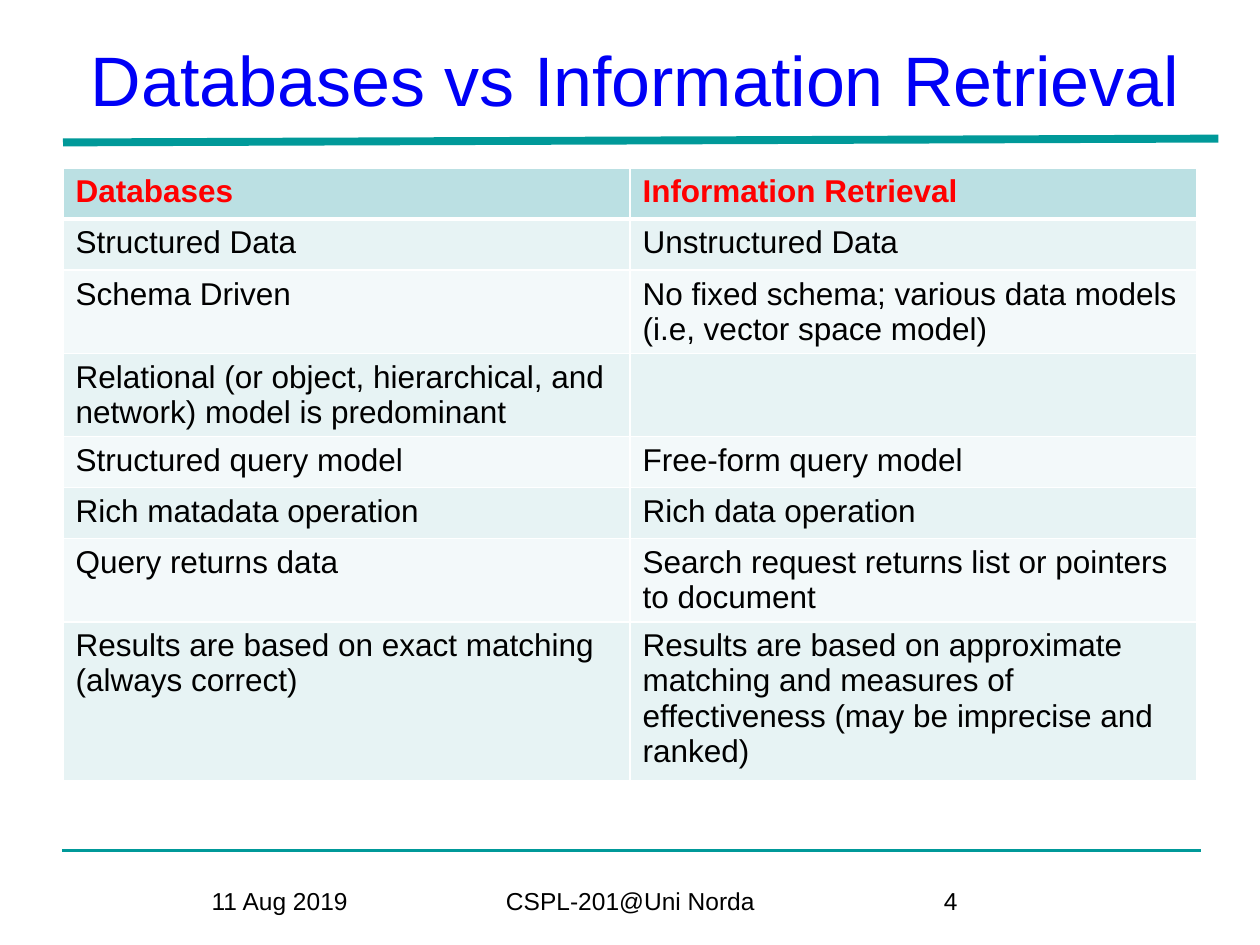
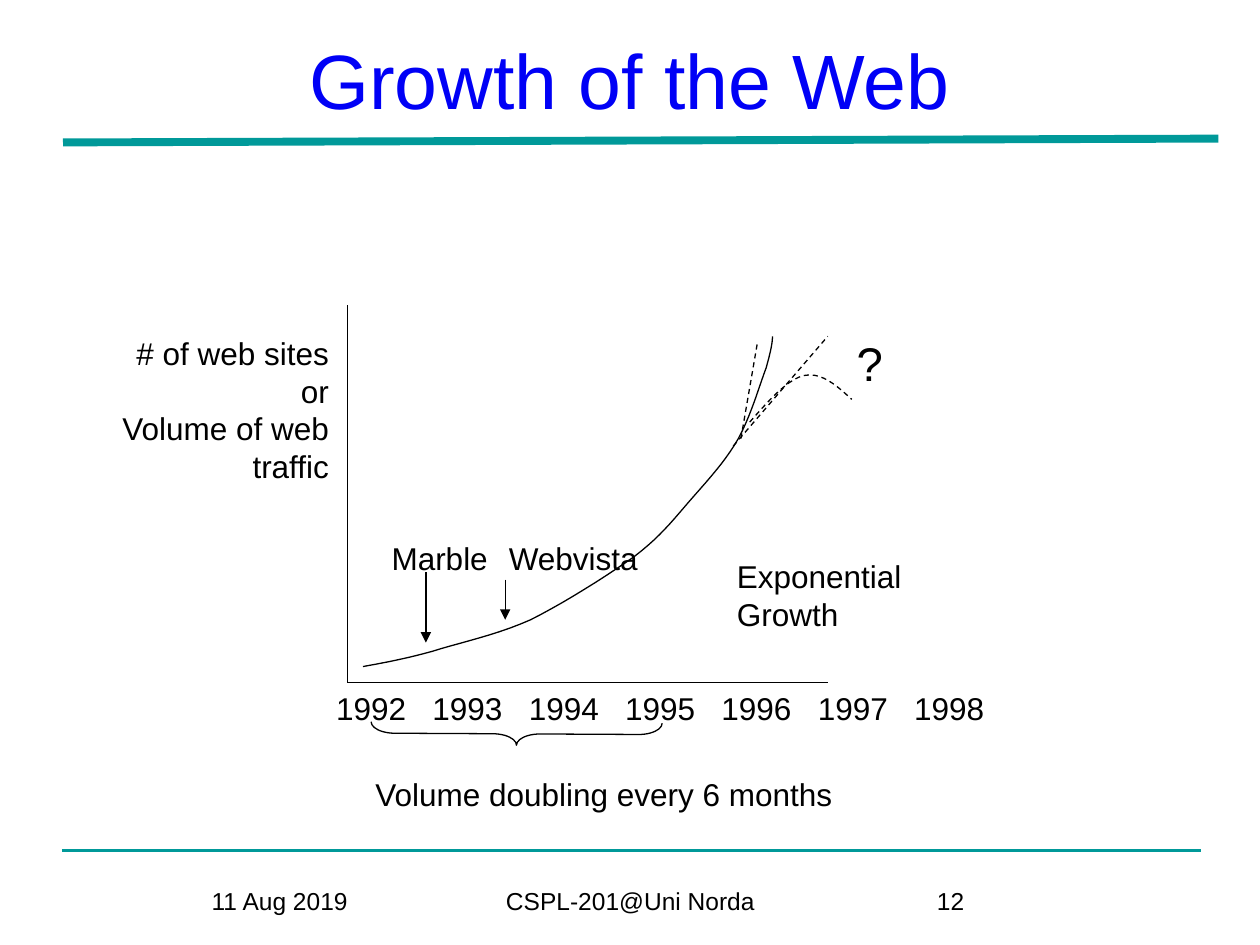
from dataclasses import dataclass

from lxml import etree
from pptx import Presentation
from pptx import util as u
from pptx.dml.color import RGBColor
from pptx.enum import dml, shapes, text
from pptx.oxml import ns

BLACK = RGBColor(0x00, 0x00, 0x00)
WHITE = RGBColor(0xFF, 0xFF, 0xFF)
RED = RGBColor(0xFF, 0x00, 0x00)
TITLE_BLUE = RGBColor(0x00, 0x00, 0xF6)
TEAL = RGBColor(0x00, 0x99, 0x99)
HEADER_FILL = RGBColor(0xBB, 0xE0, 0xE3)
ODD_FILL = RGBColor(0xE7, 0xF3, 0xF4)
EVEN_FILL = RGBColor(0xF3, 0xF9, 0xFA)

BODY_FONT = "Arial"
LEFT, CENTER, RIGHT = text.PP_ALIGN.LEFT, text.PP_ALIGN.CENTER, text.PP_ALIGN.RIGHT

FOOTER_TOP, FOOTER_HEIGHT = 502.6, 37.4
ROW_HEIGHT = 29.2
CELL_BOTTOM_MARGIN = 0.7
YEAR_PITCH = 55.05
CURVE_STEPS = 10

Point = tuple[float, float]


@dataclass(frozen=True)
class Label:
    text: str
    left: float
    top: float
    width: float
    height: float
    size: float = 18
    align: text.PP_ALIGN = LEFT


@dataclass(frozen=True)
class Line:
    start: Point
    end: Point
    color: RGBColor = BLACK
    width: float = 0.75
    dashed: bool = False
    arrow: bool = False


@dataclass(frozen=True)
class Curve:
    points: list[Point]
    dashed: bool = False


COMPARISON = [
    ("Databases", "Information Retrieval"),
    ("Structured Data", "Unstructured Data"),
    ("Schema Driven", "No fixed schema; various data models (i.e, vector space model)"),
    ("Relational (or object, hierarchical, and network) model is predominant", ""),
    ("Structured query model", "Free-form query model"),
    ("Rich matadata operation", "Rich data operation"),
    ("Query returns data", "Search request returns list or pointers to document"),
    ("Results are based on exact matching (always correct)",
     "Results are based on approximate matching and measures of effectiveness "
     "(may be imprecise and ranked)"),
]

RULES = [
    Line((35.3, 486), (686.2, 486), TEAL, 2.25),
    Line((36, 81.4), (696.2, 79.2), TEAL, 4.5),
]

GROWTH_LINES = [
    Line((198.7, 390.2), (473, 390.2)),
    Line((198.7, 390.2), (198.7, 174.2)),
    Line((419, 254.9), (473, 192.2), dashed=True),
    Line((423.4, 250.6), (432.7, 196.6), dashed=True),
    Line((243.4, 326.9), (243.4, 367.2), arrow=True),
    Line((288.7, 331.2), (288.7, 354.2), arrow=True),
]

GROWTH_CURVES = [
    Curve([
        (207.4, 380.9), (219.6, 378.7), (231.1, 376.6), (247, 372.2),
        (262.8, 367.2), (283.7, 362.9), (303.1, 354.2),
        (321.8, 344.9), (347, 329), (362.2, 318.2),
        (377.3, 306.7), (383.8, 298.1), (393.8, 286.6),
        (403.9, 275), (414.7, 263.5), (421.9, 250.6),
        (429.1, 237.6), (434.2, 219.6), (437.8, 210.2),
        (440.6, 200.2), (441.4, 195.8), (441.4, 192.2),
    ]),
    Curve([
        (428.4, 241.2), (439.2, 229), (450, 216.7), (459.4, 214.6),
        (469.4, 212.4), (478.1, 220.3), (486.7, 228.2),
    ], dashed=True),
]

GROWTH_LABELS = [
    Label("?", 482.4, 187.2, 58.3, 40.3, size=27),
    Label("# of web sites\nor\nVolume of web\ntraffic", 51.2, 187.2, 143.9, 94.3, align=RIGHT),
    Label("Marble", 216.7, 304.6, 75, 28.8),
    Label("Webvista", 283.7, 304.6, 100, 28.8),
    Label("Volume doubling every 6 months", 207.4, 439.2, 277.9, 28.8),
    Label("Exponential\nGrowth", 414, 314.6, 115, 51.1),
]


def format_paragraph(paragraph, size: float, color: RGBColor = BLACK,
                     align: text.PP_ALIGN = LEFT, bold: bool = False) -> None:
    paragraph.alignment = align
    for run in paragraph.runs:
        run.font.name = BODY_FONT
        run.font.size = u.Pt(size)
        run.font.bold = bold
        run.font.color.rgb = color


def add_label(slide, label: Label):
    shape = slide.shapes.add_textbox(*map(u.Pt, (label.left, label.top, label.width, label.height)))
    shape.text_frame.word_wrap = True
    shape.text_frame.text = label.text
    for paragraph in shape.text_frame.paragraphs:
        format_paragraph(paragraph, label.size, align=label.align)
    return shape


def format_line(shape, color: RGBColor, width: float, dashed: bool) -> None:
    shape.line.color.rgb = color
    shape.line.width = u.Pt(width)
    if dashed:
        shape.line.dash_style = dml.MSO_LINE.DASH


def add_line(slide, line: Line) -> None:
    connector = slide.shapes.add_connector(
        shapes.MSO_CONNECTOR.STRAIGHT, *map(u.Pt, line.start + line.end))
    format_line(connector, line.color, line.width, line.dashed)
    properties = connector.element.spPr
    if line.arrow:
        etree.SubElement(properties.find(ns.qn("a:ln")), ns.qn("a:tailEnd"), type="triangle")
    etree.SubElement(properties, ns.qn("a:effectLst"))


def bezier_point(controls: list[Point], t: float) -> Point:
    weights = ((1 - t) ** 3, 3 * t * (1 - t) ** 2, 3 * t ** 2 * (1 - t), t ** 3)
    x, y = (sum(w * c[axis] for w, c in zip(weights, controls)) for axis in (0, 1))
    return u.Pt(x), u.Pt(y)


def add_curve(slide, curve: Curve) -> None:
    builder = slide.shapes.build_freeform(*map(u.Pt, curve.points[0]))
    vertices = [
        bezier_point(curve.points[first:first + 4], step / CURVE_STEPS)
        for first in range(0, len(curve.points) - 1, 3)
        for step in range(1, CURVE_STEPS + 1)
    ]
    builder.add_line_segments(vertices, close=False)
    shape = builder.convert_to_shape()
    shape.shadow.inherit = False
    shape.fill.background()
    format_line(shape, BLACK, 0.75, curve.dashed)


def add_base_slide(presentation, title: str, number: int, size: float,
                   left: float, width: float):
    slide = presentation.slides.add_slide(presentation.slide_layouts[5])
    shape = slide.shapes.title
    shape.left, shape.top, shape.width, shape.height = map(u.Pt, (left, 0, width, 90))
    frame = shape.text_frame
    frame.text = title
    frame.word_wrap = True
    frame.auto_size = text.MSO_AUTO_SIZE.NONE
    frame.vertical_anchor = text.MSO_ANCHOR.MIDDLE
    format_paragraph(frame.paragraphs[0], size, TITLE_BLUE, CENTER)
    for line in RULES:
        add_line(slide, line)
    for words, left_edge, box_width, align in (
        ("11 Aug 2019", 113.8, 102.2, LEFT),
        ("CSPL-201@Uni Norda", 246.2, 228.2, CENTER),
        (str(number), 498.2, 90, CENTER),
    ):
        add_label(slide, Label(words, left_edge, FOOTER_TOP, box_width, FOOTER_HEIGHT, 14, align))
    return slide


def set_borders(cell, widths: dict[str, float]) -> None:
    properties = cell._tc.get_or_add_tcPr()
    for side, width in widths.items():
        border = etree.SubElement(properties, ns.qn(f"a:ln{side}"), w=str(u.Pt(width)))
        fill = etree.SubElement(border, ns.qn("a:solidFill"))
        etree.SubElement(fill, ns.qn("a:srgbClr"), val=str(WHITE))


def add_comparison_table(slide) -> None:
    count = len(COMPARISON)
    frame = slide.shapes.add_table(
        count, 2, *map(u.Pt, (36, 96, 648, count * ROW_HEIGHT)))
    for row, entries in enumerate(COMPARISON):
        header = row == 0
        fill = HEADER_FILL if header else (ODD_FILL if row % 2 else EVEN_FILL)
        for column, words in enumerate(entries):
            cell = frame.table.cell(row, column)
            cell.margin_bottom = u.Pt(CELL_BOTTOM_MARGIN)
            set_borders(cell, {"L": 1, "R": 1, "T": 3 if row == 1 else 1, "B": 3 if header else 1})
            cell.fill.solid()
            cell.fill.fore_color.rgb = fill
            cell.text_frame.text = words
            format_paragraph(cell.text_frame.paragraphs[0], 18,
                             RED if header else BLACK, bold=header)


def add_years(slide) -> None:
    years = [str(year) for year in range(1992, 1999)]
    shape = add_label(slide, Label("\t".join(years), 185, 390.2, 403.2, 28.8))
    properties = shape.text_frame.paragraphs[0]._p.get_or_add_pPr()
    stops = etree.SubElement(properties, ns.qn("a:tabLst"))
    for index in range(1, len(years)):
        etree.SubElement(stops, ns.qn("a:tab"), pos=str(u.Pt(index * YEAR_PITCH)), algn="l")


def add_doubling_brace(slide) -> None:
    brace = slide.shapes.add_shape(
        shapes.MSO_SHAPE.LEFT_BRACE, *map(u.Pt, (288.7, 336.2, 13, 166.3)))
    brace.rotation = 270.3
    brace.adjustments[0] = 1.04
    brace.shadow.inherit = False
    brace.fill.background()
    format_line(brace, BLACK, 0.75, False)


def main() -> None:
    presentation = Presentation()
    presentation.slide_width, presentation.slide_height = u.Pt(720), u.Pt(540)

    comparison = add_base_slide(
        presentation, "Databases vs Information Retrieval", 4, 40, 23.8, 678.2)
    add_comparison_table(comparison)

    growth = add_base_slide(presentation, "Growth of the Web", 12, 44, 36, 648)
    for line in GROWTH_LINES:
        add_line(growth, line)
    for curve in GROWTH_CURVES:
        add_curve(growth, curve)
    for label in GROWTH_LABELS:
        add_label(growth, label)
    add_years(growth)
    add_doubling_brace(growth)

    presentation.save("out.pptx")


if __name__ == "__main__":
    main()
